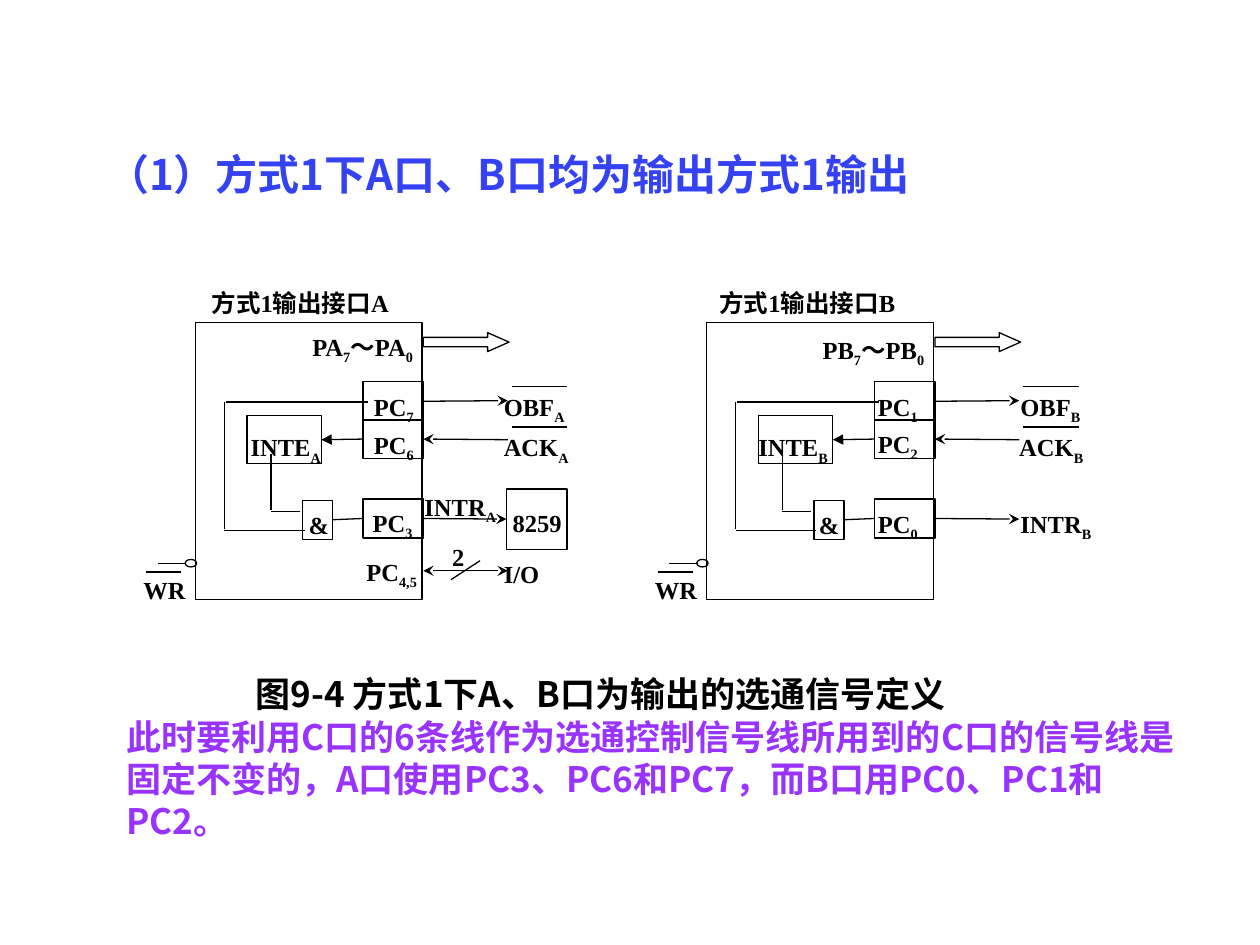
"""Build the slide on strobed output signals of ports A and B in mode 1."""
from lxml import etree
from pptx import Presentation
from pptx.dml.color import RGBColor
from pptx.enum.shapes import MSO_CONNECTOR, MSO_SHAPE
from pptx.enum.text import MSO_ANCHOR, MSO_AUTO_SIZE, PP_ALIGN
from pptx.oxml.ns import qn
from pptx.util import Inches, Pt

RECTANGLE, OVAL, ARROW = MSO_SHAPE.RECTANGLE, MSO_SHAPE.OVAL, MSO_SHAPE.RIGHT_ARROW
STRAIGHT = MSO_CONNECTOR.STRAIGHT
LEFT, JUSTIFY = PP_ALIGN.LEFT, PP_ALIGN.JUSTIFY
TOP, MIDDLE = MSO_ANCHOR.TOP, MSO_ANCHOR.MIDDLE
NO_AUTOSIZE = MSO_AUTO_SIZE.NONE
SIDE_LEFT, SIDE_RIGHT = 1, 3

SANS, SERIF = "Noto Sans CJK SC", "Times New Roman"
BLACK = RGBColor(0, 0, 0)
THEME = {
    "title": {"font": SANS, "size": Pt(24), "color": RGBColor(0x34, 0x42, 0xF4),
              "anchor": TOP, "alignment": LEFT, "spacing": Pt(28.8)},
    "body": {"font": SANS, "size": Pt(20), "color": RGBColor(0x99, 0x33, 0xFF),
             "anchor": MIDDLE, "alignment": LEFT, "spacing": Pt(24)},
    "caption": {"font": SANS, "size": Pt(20), "color": BLACK,
                "anchor": TOP, "alignment": JUSTIFY, "spacing": Pt(32.4)},
    "heading": {"font": SERIF, "size": Pt(14), "color": BLACK,
                "anchor": TOP, "alignment": JUSTIFY, "spacing": 1.0},
    "label": {"font": SERIF, "size": Pt(14), "color": BLACK,
              "anchor": TOP, "alignment": JUSTIFY, "spacing": 1.35},
    "line": {"color": BLACK, "width": Pt(0.75)},
}

presentation = Presentation()
presentation.slide_width, presentation.slide_height = Inches(10), Inches(7.5)
slide = presentation.slides.add_slide(presentation.slide_layouts[1])
cell = presentation.slide_width // 100


def write_text(shape, bounds, parts, style_name):
    """Place a text shape on the grid; every second part is a subscript."""
    style = THEME[style_name]
    for name, value in zip(("left", "top", "width", "height"), bounds):
        setattr(shape, name, int(cell * value))
    frame = shape.text_frame
    paragraph = frame.paragraphs[0]
    for name, value in {"word_wrap": True, "auto_size": NO_AUTOSIZE,
                        "vertical_anchor": style["anchor"]}.items():
        setattr(frame, name, value)
    for name, value in {"alignment": style["alignment"], "space_before": Pt(0),
                        "line_spacing": style["spacing"]}.items():
        setattr(paragraph, name, value)
    for index, part in enumerate(parts):
        run = paragraph.add_run()
        run.text = part
        for name, value in {"name": style["font"], "size": style["size"], "bold": True}.items():
            setattr(run.font, name, value)
        run.font.color.rgb = style["color"]
        properties = run._r.get_or_add_rPr()
        if style["font"] == SANS:
            etree.SubElement(properties, qn("a:ea"), typeface=SANS)
        if index % 2:
            properties.set("baseline", "-25000")
    return paragraph


def add_line(start, end, head=None, tail=None):
    """Draw a thin line between two grid points with optional arrowheads."""
    points = [int(cell * value) for value in (*start, *end)]
    connector = slide.shapes.add_connector(STRAIGHT, *points)
    connector.line.color.rgb = THEME["line"]["color"]
    connector.line.width = THEME["line"]["width"]
    for tag, kind in (("a:headEnd", head), ("a:tailEnd", tail)):
        if kind:
            etree.SubElement(connector.line._get_or_add_ln(), qn(tag), type=kind)
    etree.SubElement(connector._element.spPr, qn("a:effectLst"))
    return connector


write_text(slide.shapes.title, (7.5, 11.3, 77.2, 5),
           ["（1）方式1下A口、B口均为输出方式1输出"], "title")
explanation = write_text(
    slide.placeholders[1], (9, 56.3, 85.8, 11),
    ["此时要利用C口的6条线作为选通控制信号线所用到的C口的信号线是固定不变的，"
     "A口使用PC3、PC6和PC7，而B口用PC0、PC1和PC2。"], "body")
properties = explanation._p.get_or_add_pPr()
properties.set("marL", "0")
properties.set("indent", "0")
etree.SubElement(properties, qn("a:buNone"))

PANEL_LEFTS = {"A": 15.5, "B": 56.1}
BOXES = {
    "panel": (RECTANGLE, 0, 25.6, 18, 22),
    "buffer_full": (RECTANGLE, 13.3, 30.3, 4.8, 3.1),
    "acknowledge": (RECTANGLE, 13.3, 33.3, 4.8, 3.1),
    "interrupt": (RECTANGLE, 13.3, 39.6, 4.8, 3.1),
    "enable": (RECTANGLE, 4.1, 33, 5.9, 3.8),
    "and_gate": (RECTANGLE, 8.5, 39.7, 2.4, 3.1),
    "write_bubble": (OVAL, -0.8, 44.4, 0.9, 0.6),
    "data_bus": (ARROW, 18.1, 26.4, 6.8, 1.5),
}
CONTROLLER = {"controller": (RECTANGLE, 24.7, 38.8, 4.8, 4.8)}
WIRES = [
    ((2.4, 31.9), (13.7, 31.9)), ((2.3, 31.9), (2.3, 42)), ((2.3, 42.1), (8.7, 42.1)),
    ((6, 40.6), (8.3, 40.6)), ((6, 40.5), (6, 36)), ((-3, 44.7), (-0.7, 44.7)),
    ((-3.9, 45.4), (-1.1, 45.4)), ((25.1, 30.7), (29.5, 30.7)), ((25.1, 33.9), (29.5, 33.9)),
]
SIGNALS = [
    ("buffer_full", 31.8, None, "stealth"),
    ("acknowledge", 34.9, "stealth", None),
    ("interrupt", 41.2, None, "stealth"),
]
LABELS = {
    "A": [
        (23.5, 43.1, 5.5, "I/O"), (24.2, 39, 7.4, "8259"), (8, 39.2, 5.5, "&"),
        (8.3, 24.9, 12.9, "PA", "7", "～PA", "0"), (19.4, 41.7, 5.5, "2"),
        (13.2, 32.7, 7.4, "PC", "6"), (13.2, 29.7, 7.4, "PC", "7"),
        (13.1, 38.9, 7.4, "PC", "3"), (12.6, 42.8, 7.4, "PC", "4,5"),
        (17.2, 37.6, 11.1, "INTR", "A"), (3.4, 32.9, 11.1, "INTE", "A"),
        (23.5, 29.7, 9.2, "OBF", "A"), (23.5, 32.9, 9.2, "ACK", "A"),
    ],
    "B": [
        (7.9, 39.2, 5.5, "&"), (8.2, 25.2, 12.9, "PB", "7", "～PB", "0"),
        (12.6, 29.7, 7.4, "PC", "1"), (12.6, 32.6, 7.4, "PC", "2"),
        (12.6, 39, 7.4, "PC", "0"), (23.9, 39, 9.2, "INTR", "B"),
        (3.1, 32.9, 11.1, "INTE", "B"),
        (23.9, 29.7, 9.2, "OBF", "B"), (23.8, 32.9, 9.2, "ACK", "B"),
    ],
}

for port, left in PANEL_LEFTS.items():
    shapes = {}
    for name, (kind, x, *size) in (BOXES | (CONTROLLER if port == "A" else {})).items():
        bounds = [int(cell * value) for value in (left + x, *size)]
        shape = slide.shapes.add_shape(kind, *bounds)
        shape.shadow.inherit = False
        shape.fill.background()
        shape.line.color.rgb = THEME["line"]["color"]
        shape.line.width = THEME["line"]["width"]
        shapes[name] = shape
    shapes["data_bus"].adjustments[1] = 1.13

    for (start_x, start_y), (end_x, end_y) in WIRES:
        add_line((left + start_x, start_y), (left + end_x, end_y))
    for name, y, head, tail in SIGNALS:
        signal = add_line((left + 18.1, y), (left + 24.8, y), head, tail)
        signal.begin_connect(shapes[name], SIDE_RIGHT)
        if name == "interrupt" and port == "A":
            signal.end_connect(shapes["controller"], SIDE_LEFT)
    gate_output = add_line((left + 10.9, 41.2), (left + 13.3, 41.2))
    gate_output.begin_connect(shapes["and_gate"], SIDE_RIGHT)
    gate_output.end_connect(shapes["interrupt"], SIDE_LEFT)
    enable_input = add_line((left + 13.3, 34.9), (left + 10, 34.9), tail="triangle")
    enable_input.begin_connect(shapes["acknowledge"], SIDE_LEFT)
    enable_input.end_connect(shapes["enable"], SIDE_RIGHT)
    if port == "A":
        add_line((left + 18.1, 45.3), (left + 24.8, 45.3), "stealth", "stealth")
        add_line((left + 22.6, 44.5), (left + 20.3, 46))

    heading_left = left + (0.3 if port == "A" else 0)
    write_text(slide.shapes.add_textbox(0, 0, 0, 0), (heading_left, 22.4, 18.5, 4.4),
               [f"方式1输出接口{port}"], "heading")
    for x, y, width, *parts in LABELS[port] + [(-5.1, 44.3, 6, "WR")]:
        write_text(slide.shapes.add_textbox(0, 0, 0, 0), (left + x, y, width, 4.4), parts, "label")

write_text(slide.shapes.add_textbox(0, 0, 0, 0), (19.3, 51.7, 64.6, 5.5),
           ["图9-4 方式1下A、B口为输出的选通信号定义"], "caption")

presentation.save("out.pptx")
